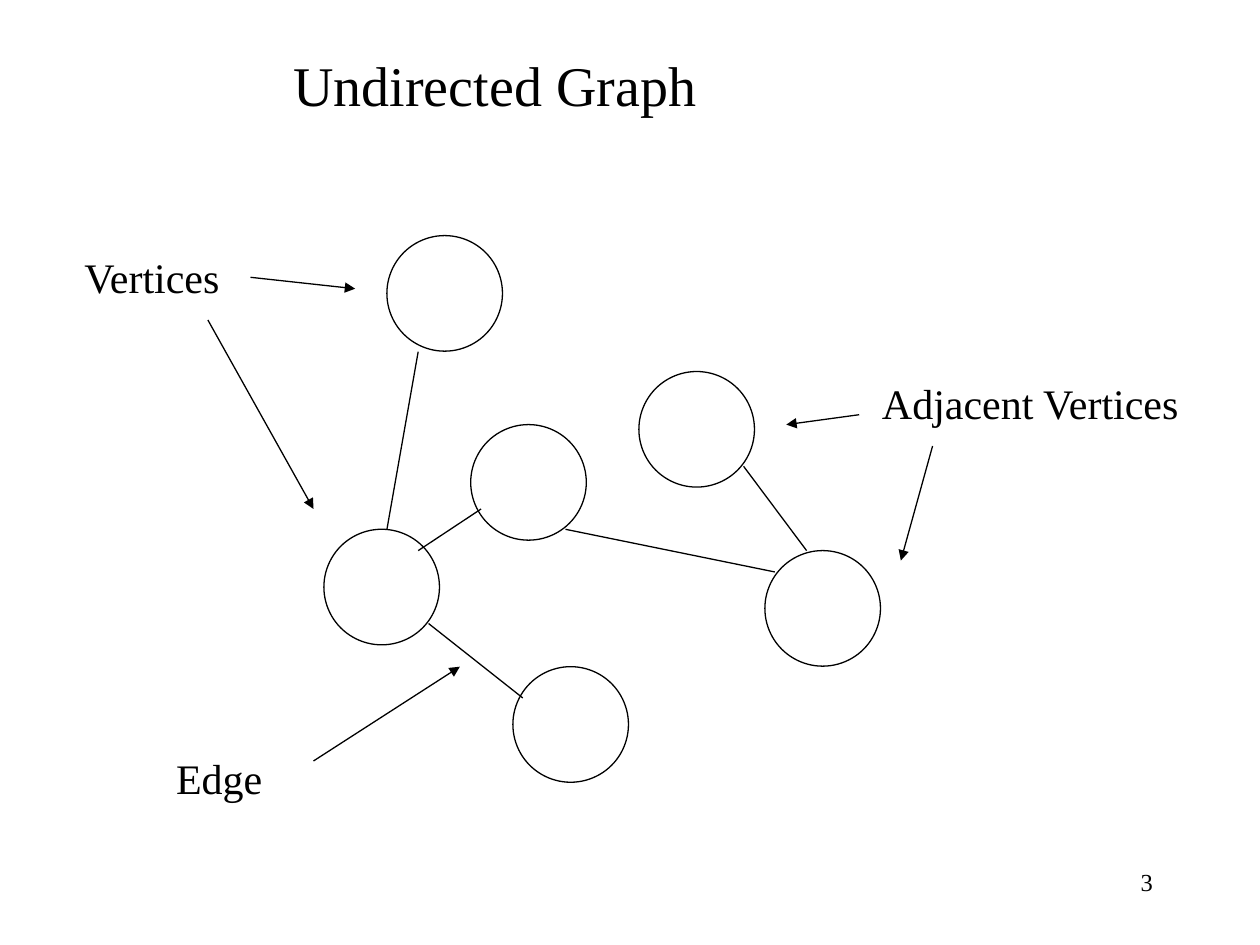
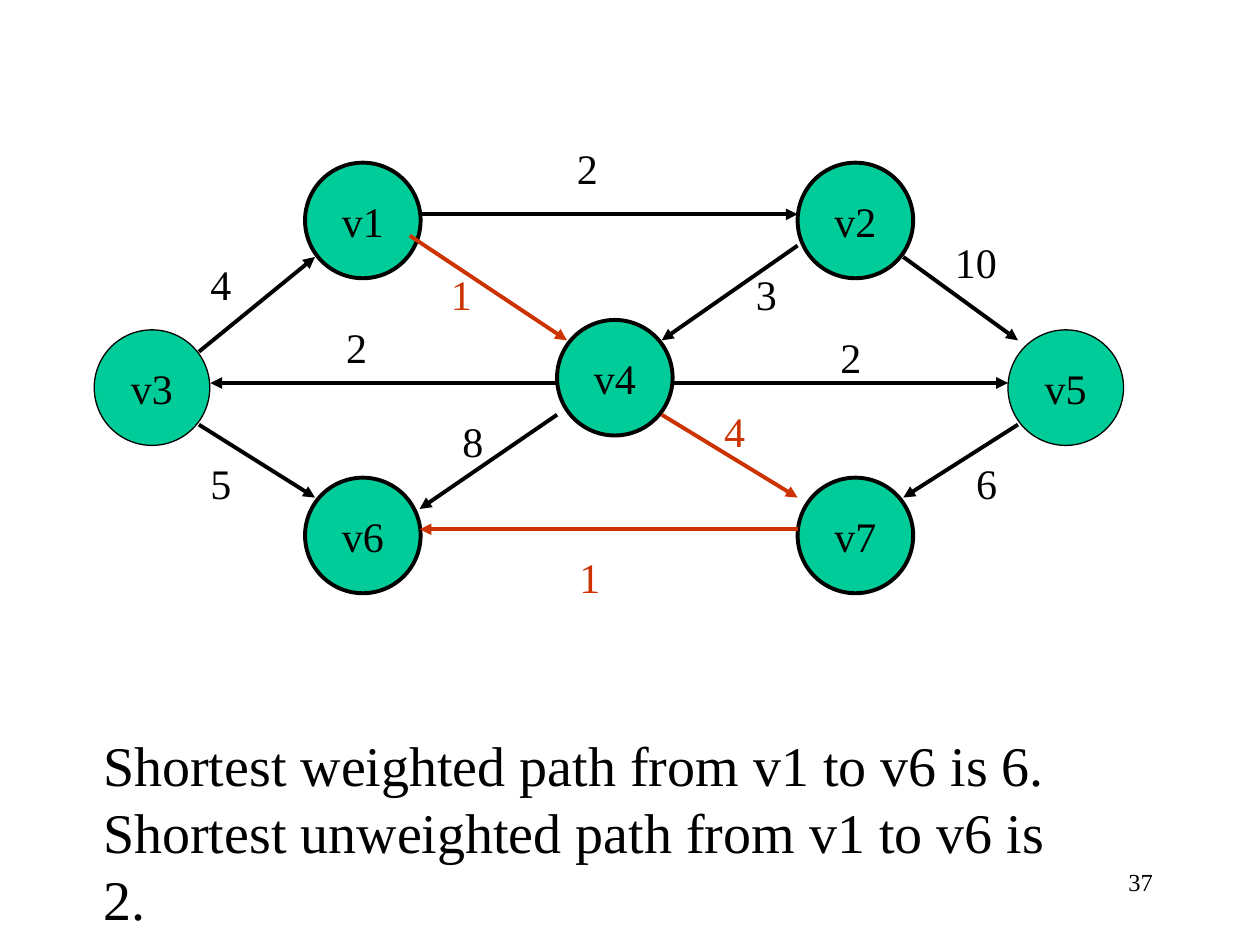
from dataclasses import dataclass

from lxml.etree import SubElement
from pptx import Presentation
from pptx.dml.color import RGBColor
from pptx.enum.shapes import MSO_CONNECTOR as Connector, MSO_SHAPE as Preset
from pptx.enum.text import MSO_ANCHOR as Anchor, PP_ALIGN as Align
from pptx.oxml.ns import qn
from pptx.util import Cm, Pt

FONT = "Times New Roman"
BLACK = "000000"
RED = "CC3300"
GREEN = "00CC99"
THIN, THICK = 0.75, 2.25
DIAMETER = 2.33
LABEL_HEIGHT = 1.27
TITLE_ONLY, BLANK = 5, 6

Point = tuple[float, float]


# What the pages are made of; all lengths in centimetres
@dataclass
class Vertex:
    left: float
    top: float
    name: str = ""
    fill: str = ""
    outline: float = THIN


@dataclass
class Line:
    start: Point
    end: Point
    arrow: bool = True
    color: str = BLACK
    weight: float = THIN


@dataclass
class Label:
    text: str
    left: float
    top: float
    width: float
    height: float = LABEL_HEIGHT
    size: float = 24
    color: str = BLACK
    align: Align = Align.LEFT
    wrap: bool = False


@dataclass
class Edge:
    """A directed edge with its weight and the place of that number."""
    start: Point
    end: Point
    weight: str
    weight_at: Point
    color: str = BLACK


def rgb(color: str) -> RGBColor:
    return RGBColor.from_string(color)


def format_text(box, label: Label, anchor: Anchor = Anchor.TOP) -> None:
    frame = box.text_frame
    frame.text = label.text
    frame.word_wrap = label.wrap
    frame.vertical_anchor = anchor
    for para in frame.paragraphs:
        para.alignment = label.align
        para.font.name = FONT
        para.font.size = Pt(label.size)
        para.font.color.rgb = rgb(label.color)


def draw_label(page, label: Label) -> None:
    box = page.shapes.add_textbox(Cm(label.left), Cm(label.top),
                                  Cm(label.width), Cm(label.height))
    format_text(box, label)


def draw_title(page, label: Label) -> None:
    title = page.shapes.title
    title.left, title.top = Cm(label.left), Cm(label.top)
    title.width, title.height = Cm(label.width), Cm(label.height)
    format_text(title, label)


def draw_number(page, number: int) -> None:
    draw_label(page, Label(str(number), 18.21, 17.35, 5.28, size=14,
                           align=Align.RIGHT, wrap=True))


def draw_vertex(page, vertex: Vertex) -> None:
    circle = page.shapes.add_shape(Preset.OVAL, Cm(vertex.left), Cm(vertex.top),
                                   Cm(DIAMETER), Cm(DIAMETER))
    circle.shadow.inherit = False
    circle.line.color.rgb = rgb(BLACK)
    circle.line.width = Pt(vertex.outline)
    if vertex.fill:
        circle.fill.solid()
        circle.fill.fore_color.rgb = rgb(vertex.fill)
    else:
        circle.fill.background()
    if vertex.name:
        name = Label(vertex.name, vertex.left, vertex.top, DIAMETER,
                     align=Align.CENTER)
        format_text(circle, name, Anchor.MIDDLE)


def draw_line(page, line: Line) -> None:
    ends = [Cm(value) for value in (*line.start, *line.end)]
    connector = page.shapes.add_connector(Connector.STRAIGHT, *ends)
    connector.line.color.rgb = rgb(line.color)
    connector.line.width = Pt(line.weight)
    if line.arrow:
        SubElement(connector.line._get_or_add_ln(), qn("a:tailEnd"), type="triangle")
    SubElement(connector._element.spPr, qn("a:effectLst"))


def draw_edge(page, edge: Edge) -> None:
    draw_line(page, Line(edge.start, edge.end, color=edge.color, weight=THICK))
    width = 0.94 if len(edge.weight) == 1 else 1.35
    draw_label(page, Label(edge.weight, *edge.weight_at, width, color=edge.color))


# Undirected graph
CIRCLES = [
    Vertex(9.49, 8.56), Vertex(10.34, 13.44), Vertex(12.88, 7.49),
    Vertex(7.8, 4.75), Vertex(15.42, 11.1), Vertex(6.53, 10.67),
]
LINKS = [
    Line((8.43, 7.09), (7.8, 10.67), arrow=False),
    Line((8.43, 11.1), (9.7, 10.26), arrow=False),
    Line((10.54, 14.07), (8.64, 12.57), arrow=False),
    Line((11.4, 10.67), (15.62, 11.53), arrow=False),
    Line((16.26, 11.1), (14.99, 9.4), arrow=False),
]
POINTERS = [
    Line((5.05, 5.59), (7.16, 5.82)),
    Line((4.19, 6.45), (6.32, 10.26)),
    Line((6.32, 15.34), (9.27, 13.44)),
    Line((18.8, 8.99), (18.16, 11.3)),
    Line((17.32, 8.36), (15.85, 8.56)),
]
TERMS = [
    Label("Vertices", 1.45, 4.95, 3.33),
    Label("Edge", 3.3, 15.04, 2.26),
    Label("Adjacent Vertices", 17.53, 7.49, 6.6),
]

# Weighted graph; the red edges form the shortest weighted path
NODES = [
    Vertex(1.9, 6.65, "v3", GREEN),
    Vertex(6.15, 3.28, "v1", GREEN, THICK),
    Vertex(6.15, 9.63, "v6", GREEN, THICK),
    Vertex(20.32, 6.65, "v5", GREEN),
    Vertex(16.08, 3.28, "v2", GREEN, THICK),
    Vertex(16.08, 9.63, "v7", GREEN, THICK),
    Vertex(11.23, 6.45, "v4", GREEN, THICK),
]
EDGES = [
    Edge((4.01, 7.09), (6.35, 5.18), "4", (3.99, 5.08)),
    Edge((4.01, 8.56), (6.35, 10.03), "5", (3.99, 9.09)),
    Edge((11.23, 7.72), (4.24, 7.72), "2", (6.73, 6.35)),
    Edge((8.46, 4.32), (16.08, 4.32), "2", (11.38, 2.74)),
    Edge((20.52, 8.56), (18.21, 10.03), "6", (19.43, 9.09)),
    Edge((18.21, 5.18), (20.52, 6.86), "10", (19, 4.65)),
    Edge((8.26, 4.75), (11.43, 6.86), "1", (8.84, 5.28), RED),
    Edge((16.08, 4.95), (13.34, 6.86), "3", (14.99, 5.28)),
    Edge((13.54, 7.72), (20.32, 7.72), "2", (16.69, 6.55)),
    Edge((13.34, 8.36), (16.08, 10.03), "4", (14.35, 8.05), RED),
    Edge((16.08, 10.67), (8.46, 10.67), "1", (11.43, 11), RED),
    Edge((11.23, 8.36), (8.46, 10.26), "8", (9.07, 8.26)),
]
CONCLUSION = Label("Shortest weighted path from v1 to v6 is 6.\n"
                   "Shortest unweighted path from v1 to v6 is 2.",
                   1.83, 14.6, 20.6, 2.97, size=32, wrap=True)


def build_undirected(deck) -> None:
    page = deck.slides.add_slide(deck.slide_layouts[TITLE_ONLY])
    draw_title(page, Label("Undirected Graph", 5.66, 0.89, 8.64, 1.6, size=32))
    draw_number(page, 3)
    for circle in CIRCLES:
        draw_vertex(page, circle)
    for line in LINKS + POINTERS:
        draw_line(page, line)
    for term in TERMS:
        draw_label(page, term)


def build_weighted(deck) -> None:
    page = deck.slides.add_slide(deck.slide_layouts[BLANK])
    draw_number(page, 37)
    for node in NODES:
        draw_vertex(page, node)
    for edge in EDGES:
        draw_edge(page, edge)
    draw_label(page, CONCLUSION)


def main() -> None:
    deck = Presentation()
    deck.slide_width, deck.slide_height = Cm(25.4), Cm(19.05)
    build_undirected(deck)
    build_weighted(deck)
    deck.save("out.pptx")


if __name__ == "__main__":
    main()
